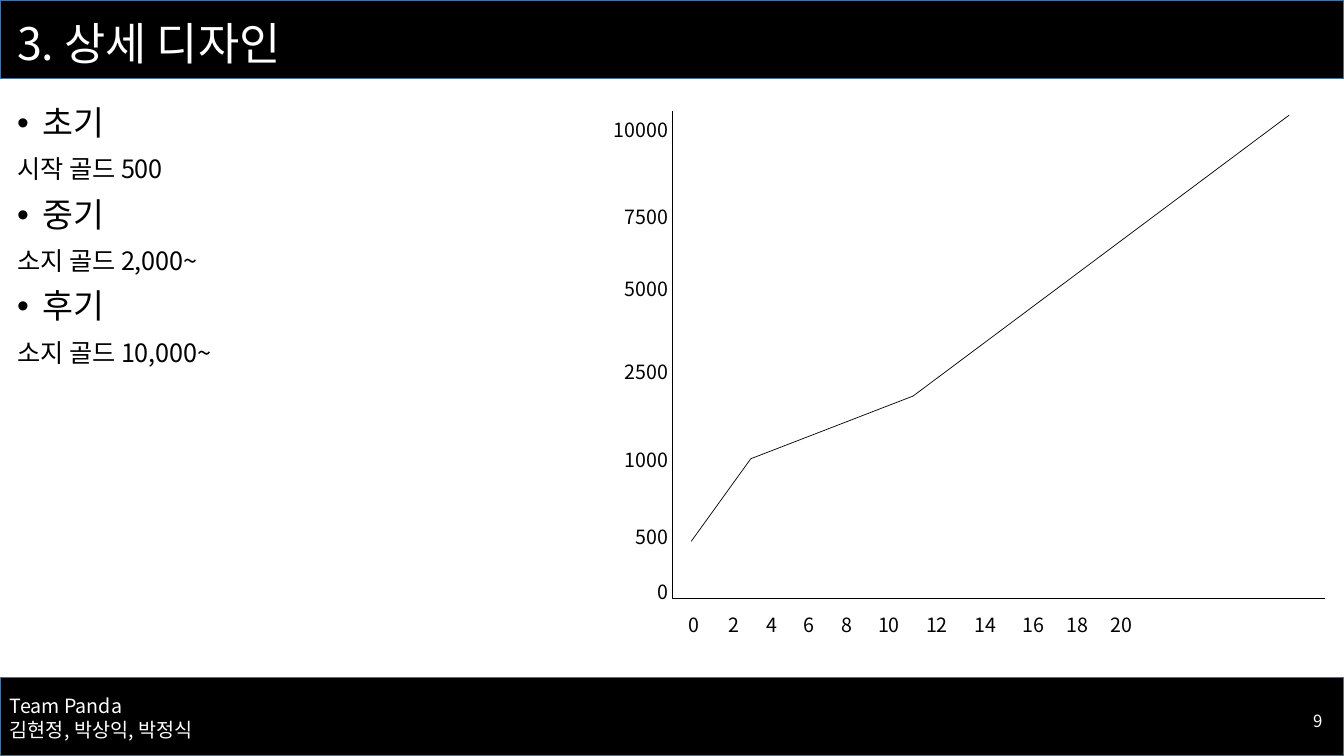
"""Build the detailed design slide with the gold growth curve."""
from itertools import pairwise

from lxml.etree import SubElement
from pptx import Presentation
from pptx.dml.color import RGBColor
from pptx.enum.shapes import MSO_CONNECTOR, MSO_SHAPE
from pptx.enum.text import MSO_ANCHOR, PP_ALIGN
from pptx.oxml.ns import qn
from pptx.util import Cm, Pt

FONT = "Noto Sans CJK KR"
COLORS = {"black": "000000", "white": "FFFFFF", "border": "43739E"}
WIDTH, HEIGHT, BAND = 33.87, 19.05, 1.98

TITLE = "3. 상세 디자인"
TEAM = ["Team Panda", "김현정, 박상익, 박정식"]
PAGE_NUMBER = "9"
PHASES = [
    ("초기", "시작 골드 500"),
    ("중기", "소지 골드 2,000~"),
    ("후기", "소지 골드 10,000~"),
]
GOLD_TICKS = [("0", 14.48), ("500", 13.11), ("1000", 11.15), ("2500", 8.94),
              ("5000", 6.86), ("7500", 5.03), ("10000", 2.84)]
TIME_TICKS = ["0", "2", "4", "6", "8", "10", "12", "14", "16", "18", "20"]
TIME_STOPS = [1.03, 1.97, 2.92, 3.86, 4.79, 6.0, 7.21, 8.42, 9.53, 10.64]
AXES = [(16.94, 2.79), (16.94, 15.09), (33.4, 15.09)]
GOLD_CURVE = [(17.42, 13.64), (18.92, 11.56), (23.01, 9.98), (32.49, 2.9)]

deck = Presentation()
deck.slide_width, deck.slide_height = Cm(WIDTH), Cm(HEIGHT)
page = deck.slides.add_slide(deck.slide_layouts[6])


def color(name):
    return RGBColor.from_string(COLORS[name])


def add_band(top):
    band = page.shapes.add_shape(MSO_SHAPE.RECTANGLE, 0, Cm(top), Cm(WIDTH), Cm(BAND))
    band.shadow.inherit = False
    band.fill.solid()
    band.fill.fore_color.rgb = color("black")
    band.line.color.rgb = color("border")
    band.line.width = Pt(1)


def style(para, size, ink):
    para.font.size = Pt(size)
    para.font.color.rgb = color(ink)
    para.font.name = FONT
    SubElement(para.font._element, qn("a:ea"), typeface=FONT)


def add_text(lines, left, top, width, height, size, ink="black",
             align=PP_ALIGN.LEFT, anchor=MSO_ANCHOR.TOP, wrap=True):
    box = page.shapes.add_textbox(Cm(left), Cm(top), Cm(width), Cm(height))
    frame = box.text_frame
    frame.word_wrap = wrap
    frame.vertical_anchor = anchor
    frame.text = "\n".join(lines)
    for para in frame.paragraphs:
        para.alignment = align
        style(para, size, ink)
    return frame.paragraphs


def add_bullet(para):
    properties = para._p.get_or_add_pPr()
    properties.set("marL", str(Cm(0.64)))
    properties.set("indent", str(-Cm(0.64)))
    font = properties.find(qn("a:defRPr"))
    bullet_font = SubElement(properties, qn("a:buFont"), typeface="Arial")
    bullet = SubElement(properties, qn("a:buChar"), char="•")
    font.addprevious(bullet_font)
    font.addprevious(bullet)


def add_tab_stops(para, stops):
    properties = para._p.get_or_add_pPr()
    tabs = SubElement(properties, qn("a:tabLst"))
    for stop in stops:
        SubElement(tabs, qn("a:tab"), pos=str(Cm(stop)), algn="l")
    properties.find(qn("a:defRPr")).addprevious(tabs)


def add_path(points):
    for start, end in pairwise(points):
        ends = [Cm(value) for value in start + end]
        line = page.shapes.add_connector(MSO_CONNECTOR.STRAIGHT, *ends)
        line.line.color.rgb = color("black")
        line.line.width = Pt(0.5)
        SubElement(line._element.spPr, qn("a:effectLst"))


for band_top in (0, HEIGHT - BAND):
    add_band(band_top)
add_text(TEAM, 0, 17.37, 7.62, 1.45, 14, "white")
add_text([PAGE_NUMBER], 25.96, 17.65, 7.62, 1.02, 12, "white",
         PP_ALIGN.RIGHT, MSO_ANCHOR.MIDDLE)
title = add_text([TITLE], 0.18, 0.08, 29.21, 2.16, 32, "white", anchor=MSO_ANCHOR.MIDDLE)
title[0].line_spacing = 0.9

phase_lines = [line for phase in PHASES for line in phase]
phase_paras = add_text(phase_lines, 0.18, 2.57, 14.07, 12.29, 18)
for para in phase_paras:
    para.line_spacing = 0.9
    para.space_before = Pt(10)
for para in phase_paras[::2]:
    para.font.size = Pt(24)
    add_bullet(para)

add_path(AXES)
for label, label_top in GOLD_TICKS:
    add_text([label], 15.16, label_top, 1.93, 0.86, 14, align=PP_ALIGN.RIGHT)
time_axis = add_text(["\t".join(TIME_TICKS)], 17.09, 15.32, 16.31, 0.86, 14)
add_tab_stops(time_axis[0], TIME_STOPS)
add_path(GOLD_CURVE)

deck.save("out.pptx")
